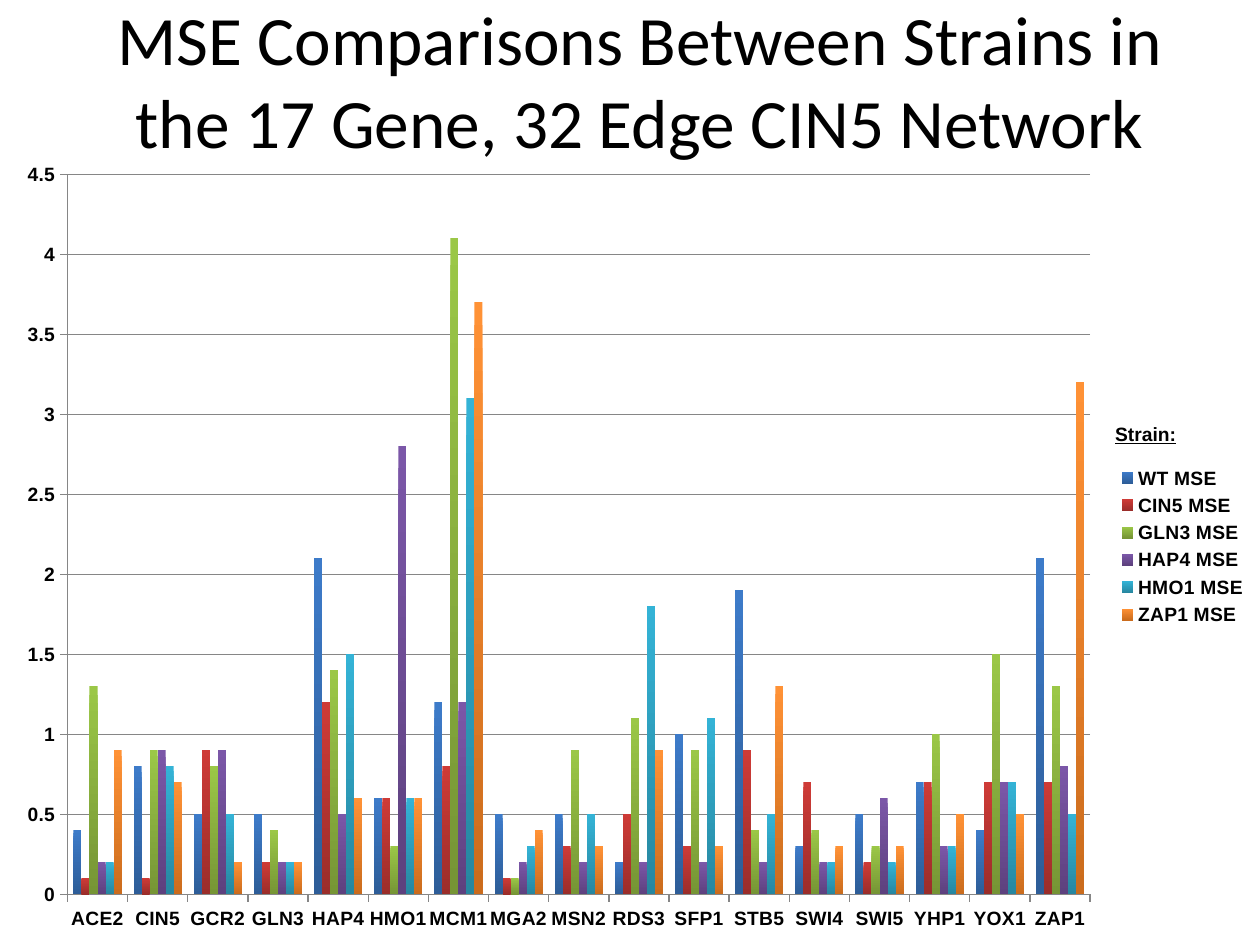
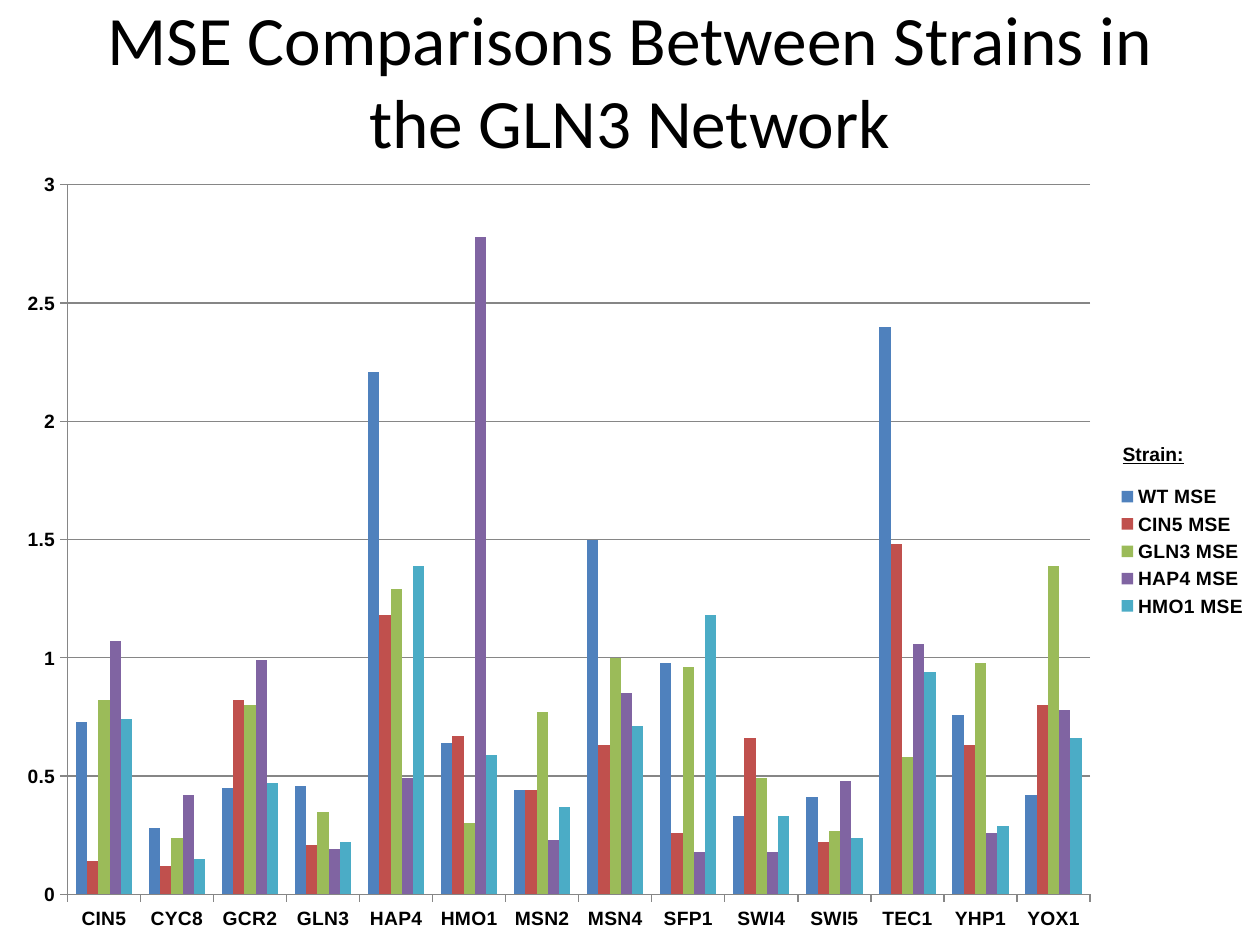
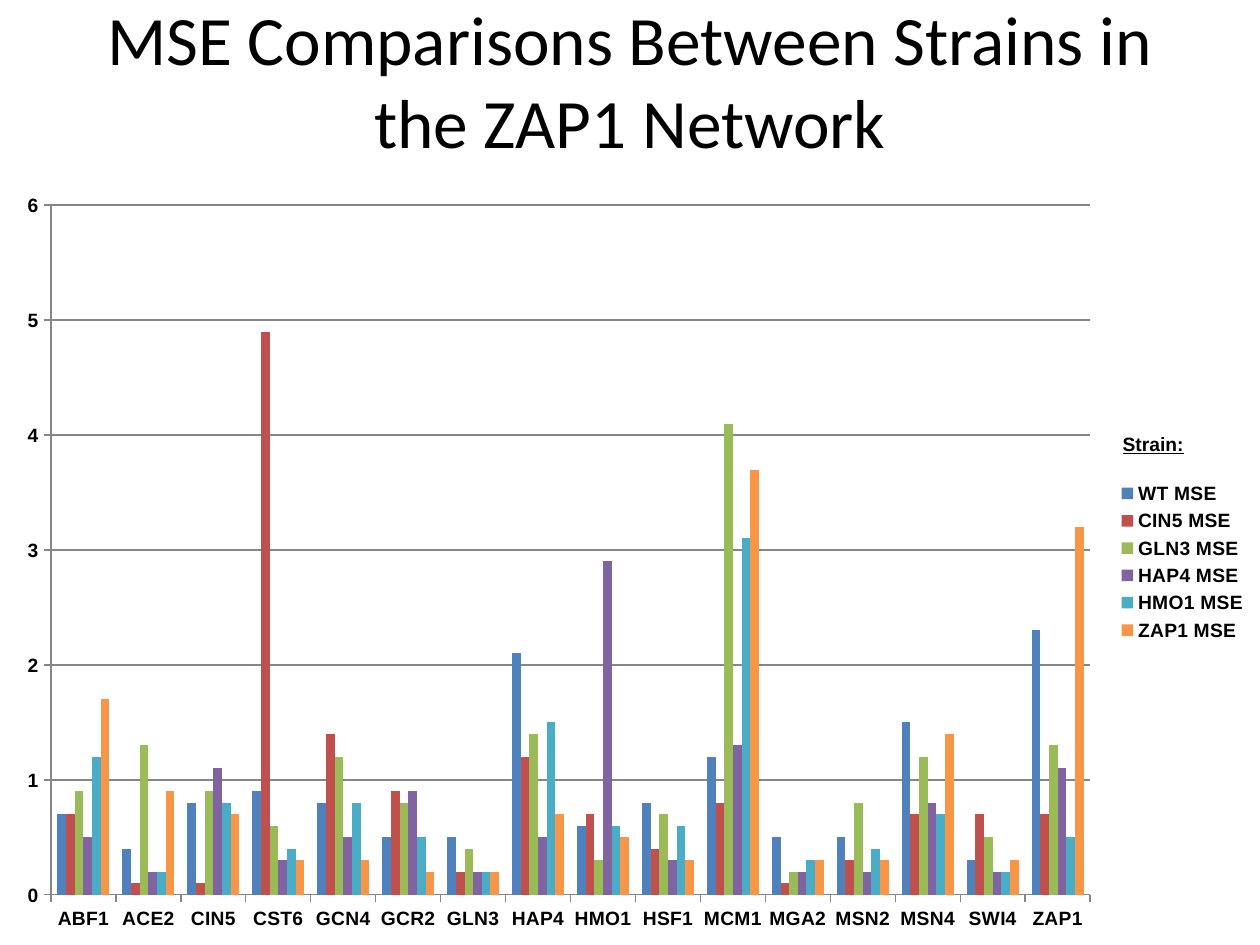
"""Three column-chart slides comparing MSE between strains in gene networks."""
import pptx
import pptx.chart.data
import pptx.dml.color
import pptx.enum.chart
import pptx.enum.text
import pptx.util

Cm = pptx.util.Cm
Pt = pptx.util.Pt

COLORS = {
    "text": "000000", "grid": "868686", "background": "FFFFFF",
    "WT": "4F81BD", "CIN5": "C0504D", "GLN3": "9BBB59",
    "HAP4": "8064A2", "HMO1": "4BACC6", "ZAP1": "F79646",
}
GRADIENTS = {
    "WT": ("3D7BC9", "2D5D98"), "CIN5": ("CE3B37", "9B2D2A"),
    "GLN3": ("9BC747", "769535"), "HAP4": ("7B57A8", "5D417E"),
    "HMO1": ("34B3D6", "2787A0"), "ZAP1": ("FF9236", "CB6C1D"),
}
TITLE = "MSE Comparisons Between Strains in the {} Network"
TITLE_FONT, CHART_FONT = "Calibri", "Arial"
SLIDE_W, SLIDE_H = 25.4, 19.05
TITLE_W, TITLE_H = 22.86, 3.18

NETWORKS = [
    {
        "name": "17 Gene, 32 Edge CIN5", "title_left": 1.47,
        "chart_top": 2.97, "label": (22.23, 8.38),
        "max": 4.5, "step": 0.5, "gradient": True,
        "mse": """
            Gene ACE2 CIN5 GCR2 GLN3 HAP4 HMO1 MCM1 MGA2 MSN2 RDS3 SFP1 STB5 SWI4 SWI5 YHP1 YOX1 ZAP1
            WT   0.4  0.8  0.5  0.5  2.1  0.6  1.2  0.5  0.5  0.2  1    1.9  0.3  0.5  0.7  0.4  2.1
            CIN5 0.1  0.1  0.9  0.2  1.2  0.6  0.8  0.1  0.3  0.5  0.3  0.9  0.7  0.2  0.7  0.7  0.7
            GLN3 1.3  0.9  0.8  0.4  1.4  0.3  4.1  0.1  0.9  1.1  0.9  0.4  0.4  0.3  1    1.5  1.3
            HAP4 0.2  0.9  0.9  0.2  0.5  2.8  1.2  0.2  0.2  0.2  0.2  0.2  0.2  0.6  0.3  0.7  0.8
            HMO1 0.2  0.8  0.5  0.2  1.5  0.6  3.1  0.3  0.5  1.8  1.1  0.5  0.2  0.2  0.3  0.7  0.5
            ZAP1 0.9  0.7  0.2  0.2  0.6  0.6  3.7  0.4  0.3  0.9  0.3  1.3  0.3  0.3  0.5  0.5  3.2
        """,
    },
    {
        "name": "GLN3", "title_left": 1.27,
        "chart_top": 3.18, "label": (22.38, 8.79),
        "max": 3, "step": 0.5, "gradient": False,
        "mse": """
            Gene CIN5 CYC8 GCR2 GLN3 HAP4 HMO1 MSN2 MSN4 SFP1 SWI4 SWI5 TEC1 YHP1 YOX1
            WT   0.73 0.28 0.45 0.46 2.21 0.64 0.44 1.5  0.98 0.33 0.41 2.4  0.76 0.42
            CIN5 0.14 0.12 0.82 0.21 1.18 0.67 0.44 0.63 0.26 0.66 0.22 1.48 0.63 0.8
            GLN3 0.82 0.24 0.8  0.35 1.29 0.3  0.77 1    0.96 0.49 0.27 0.58 0.98 1.39
            HAP4 1.07 0.42 0.99 0.19 0.49 2.78 0.23 0.85 0.18 0.18 0.48 1.06 0.26 0.78
            HMO1 0.74 0.15 0.47 0.22 1.39 0.59 0.37 0.71 1.18 0.33 0.24 0.94 0.29 0.66
        """,
    },
    {
        "name": "ZAP1", "title_left": 1.27,
        "chart_top": 3.6, "label": (22.38, 8.59),
        "max": 6, "step": 1, "gradient": False,
        "mse": """
            Gene ABF1 ACE2 CIN5 CST6 GCN4 GCR2 GLN3 HAP4 HMO1 HSF1 MCM1 MGA2 MSN2 MSN4 SWI4 ZAP1
            WT   0.7  0.4  0.8  0.9  0.8  0.5  0.5  2.1  0.6  0.8  1.2  0.5  0.5  1.5  0.3  2.3
            CIN5 0.7  0.1  0.1  4.9  1.4  0.9  0.2  1.2  0.7  0.4  0.8  0.1  0.3  0.7  0.7  0.7
            GLN3 0.9  1.3  0.9  0.6  1.2  0.8  0.4  1.4  0.3  0.7  4.1  0.2  0.8  1.2  0.5  1.3
            HAP4 0.5  0.2  1.1  0.3  0.5  0.9  0.2  0.5  2.9  0.3  1.3  0.2  0.2  0.8  0.2  1.1
            HMO1 1.2  0.2  0.8  0.4  0.8  0.5  0.2  1.5  0.6  0.6  3.1  0.3  0.4  0.7  0.2  0.5
            ZAP1 1.7  0.9  0.7  0.3  0.3  0.2  0.2  0.7  0.5  0.3  3.7  0.3  0.3  1.4  0.3  3.2
        """,
    },
]


def rgb(name):
    return pptx.dml.color.RGBColor.from_string(COLORS.get(name, name))


def style_font(font, name, size, bold=False):
    font.name, font.size, font.bold = name, Pt(size), bold
    font.color.rgb = rgb("text")


def add_title(s, network):
    sp = s.shapes.title
    sp.left, sp.top = Cm(network["title_left"]), Cm(0)
    sp.width, sp.height = Cm(TITLE_W), Cm(TITLE_H)
    tf = sp.text_frame
    tf.word_wrap = True
    tf.auto_size = pptx.enum.text.MSO_AUTO_SIZE.NONE
    tf.vertical_anchor = pptx.enum.text.MSO_ANCHOR.MIDDLE
    p = tf.paragraphs[0]
    p.alignment = pptx.enum.text.PP_ALIGN.CENTER
    r = p.add_run()
    r.text = TITLE.format(network["name"])
    style_font(r.font, TITLE_FONT, 39.6)


def fill_series(series, strain, gradient):
    fill = series.format.fill
    if gradient:
        fill.gradient()
        fill.gradient_angle = 270
        for stop, color in zip(fill.gradient_stops, GRADIENTS[strain]):
            stop.color.rgb = rgb(color)
    else:
        fill.solid()
        fill.fore_color.rgb = rgb(strain)


def style_line(line):
    line.color.rgb = rgb("grid")
    line.width = Pt(0.75)


def add_mse_chart(s, network):
    header, *rows = [line.split() for line in network["mse"].strip().splitlines()]
    data = pptx.chart.data.CategoryChartData()
    data.categories = header[1:]
    for strain, *values in rows:
        data.add_series(f"{strain} MSE", [float(value) for value in values])
    top = network["chart_top"]
    chart = s.shapes.add_chart(
        pptx.enum.chart.XL_CHART_TYPE.COLUMN_CLUSTERED, Cm(0.05), Cm(top),
        Cm(SLIDE_W - 0.05), Cm(SLIDE_H - top), data).chart
    style_font(chart.font, CHART_FONT, 11, True)
    chart.has_title = False
    chart.has_legend = True
    chart.legend.position = pptx.enum.chart.XL_LEGEND_POSITION.RIGHT
    chart.legend.include_in_layout = False

    plot = chart.plots[0]
    plot.gap_width, plot.overlap = 150, 0
    plot.vary_by_categories = False
    for series, row in zip(plot.series, rows):
        fill_series(series, row[0], network["gradient"])

    for axis in (chart.category_axis, chart.value_axis):
        axis.major_tick_mark = pptx.enum.chart.XL_TICK_MARK.OUTSIDE
        axis.minor_tick_mark = pptx.enum.chart.XL_TICK_MARK.NONE
        style_line(axis.format.line)
    axis = chart.value_axis
    axis.minimum_scale, axis.maximum_scale = 0, network["max"]
    axis.major_unit = network["step"]
    axis.has_major_gridlines = True
    style_line(axis.major_gridlines.format.line)


def add_legend_heading(s, network):
    left, top = network["label"]
    tf = s.shapes.add_textbox(Cm(left), Cm(top), Cm(2.82), Cm(0.74)).text_frame
    tf.word_wrap = True
    tf.auto_size = pptx.enum.text.MSO_AUTO_SIZE.SHAPE_TO_FIT_TEXT
    r = tf.paragraphs[0].add_run()
    r.text = "Strain:"
    style_font(r.font, CHART_FONT, 11, True)
    r.font.underline = True


def main():
    prs = pptx.Presentation()
    prs.slide_width, prs.slide_height = Cm(SLIDE_W), Cm(SLIDE_H)
    fill = prs.slide_master.background.fill
    fill.solid()
    fill.fore_color.rgb = rgb("background")
    for network in NETWORKS:
        s = prs.slides.add_slide(prs.slide_layouts[5])
        add_title(s, network)
        add_mse_chart(s, network)
        add_legend_heading(s, network)
    prs.save("out.pptx")


if __name__ == "__main__":
    main()
